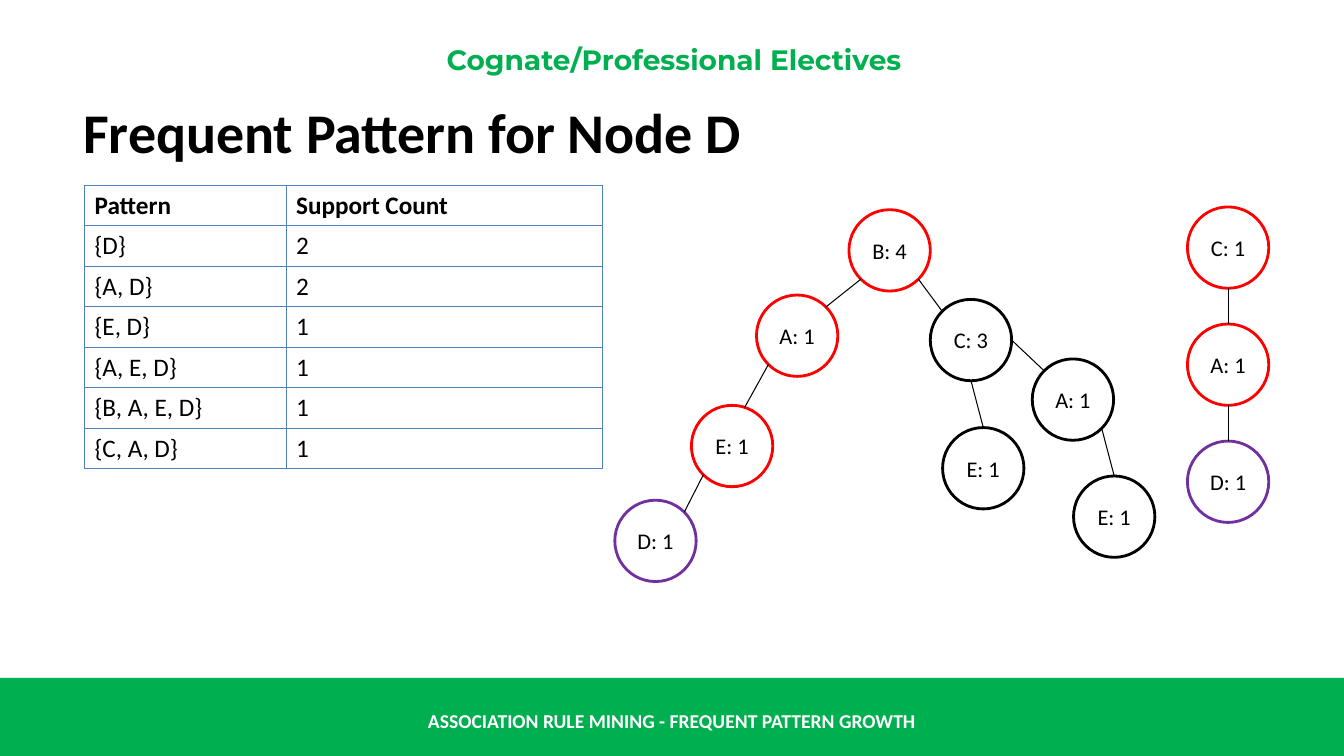
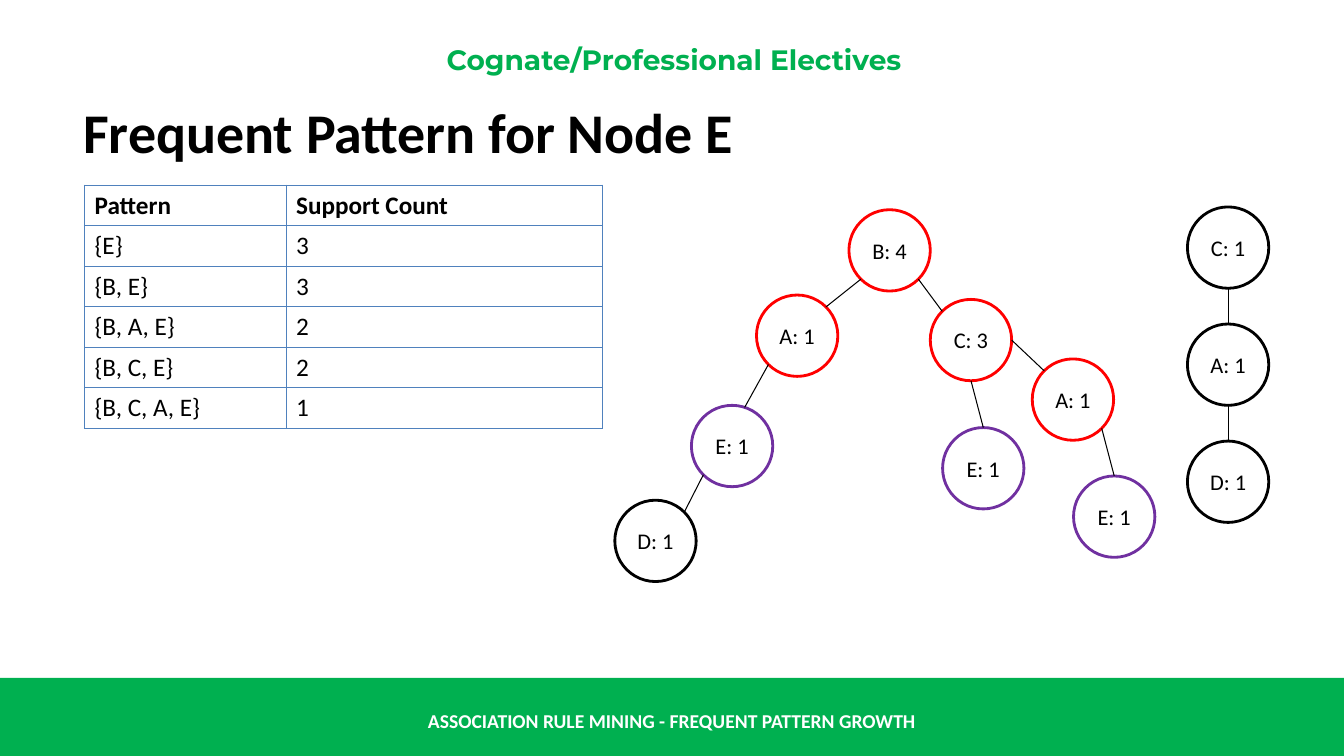
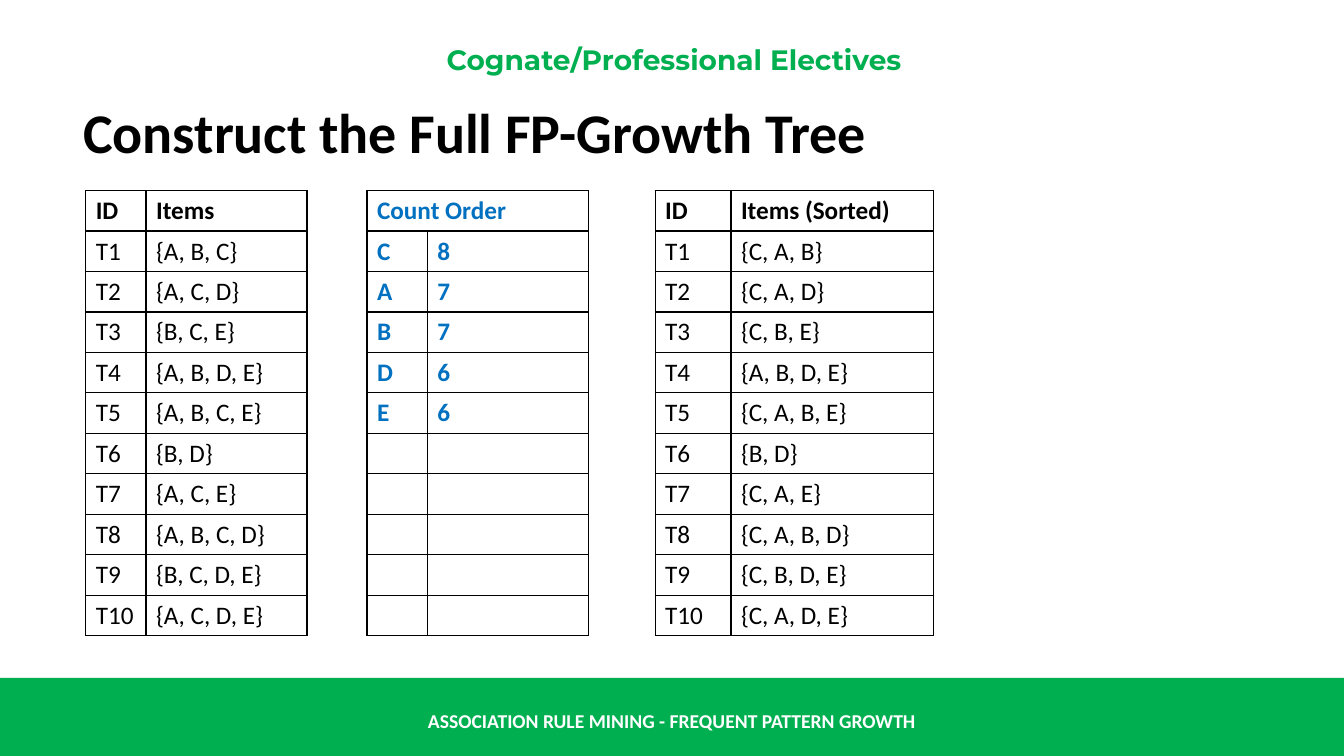
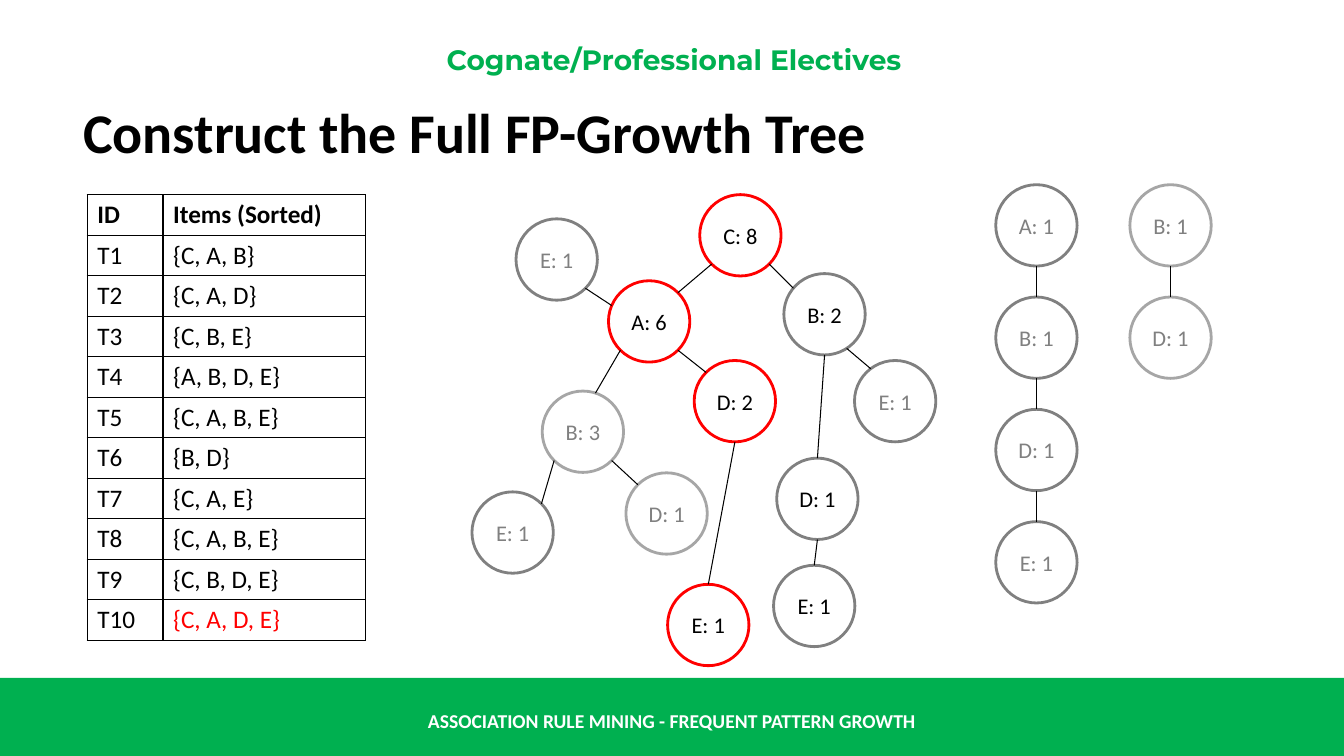
from math import cos, radians, sin

from lxml.etree import SubElement
from pptx import Presentation
from pptx.dml.color import RGBColor
from pptx.enum.shapes import MSO_CONNECTOR, MSO_SHAPE
from pptx.enum.text import MSO_ANCHOR, PP_ALIGN
from pptx.oxml.ns import qn
from pptx.util import Cm, Pt

BLACK, WHITE, GREEN, RED = "000000", "FFFFFF", "00B050", "FF0000"
PURPLE, BLUE, TABLE_BLUE = "7030A0", "0070C0", "4F81BD"
GREY, LIGHT_GREY = "808080", "A6A6A6"

TOP, RIGHT, BOTTOM = 0, 90, 180
TOP_RIGHT, BOTTOM_RIGHT, BOTTOM_LEFT, TOP_LEFT = 45, 135, 225, 315


def rgb(value):
    return RGBColor.from_string(value)


def write_text(frame, text, size=18, color=BLACK, bold=False, font="Calibri",
               align=PP_ALIGN.LEFT):
    paragraph = frame.paragraphs[0]
    paragraph.alignment = align
    run = paragraph.add_run()
    run.text = text
    run.font.name = font
    run.font.size = Pt(size)
    run.font.bold = bold
    run.font.color.rgb = rgb(color)


def itemset(items):
    return "{" + ", ".join(items) + "}"


def transaction_rows(heading, transactions):
    rows = [(f"T{number}", itemset(items))
            for number, items in enumerate(transactions, 1)]
    return [("ID", heading)] + rows


class Deck:
    width, height = 33.87, 19.05
    band_top = 17.08
    row_height = 1.02
    node_size = 2.05

    def __init__(self):
        self.presentation = Presentation()
        self.presentation.slide_width = Cm(self.width)
        self.presentation.slide_height = Cm(self.height)
        self.slide = None

    def add_slide(self, title):
        self.slide = self.presentation.slides.add_slide(
            self.presentation.slide_layouts[6])
        self.band()
        self.text_box(0, 17.65, self.width, 1.02,
                      "ASSOCIATION RULE MINING - FREQUENT PATTERN GROWTH",
                      size=14, color=WHITE, bold=True, align=PP_ALIGN.CENTER)
        self.text_box(0.71, 1.07, 32.56, 0.86, "Cognate/Professional Electives",
                      size=20, color=GREEN, bold=True, font="Montserrat",
                      align=PP_ALIGN.CENTER)
        self.text_box(1.85, 2.34, 29.34, 1.96, title, anchor=MSO_ANCHOR.TOP,
                      size=40, bold=True)

    def band(self):
        shape = self.slide.shapes.add_shape(
            MSO_SHAPE.RECTANGLE, 0, Cm(self.band_top), Cm(self.width),
            Cm(self.height - self.band_top))
        shape.shadow.inherit = False
        shape.fill.solid()
        shape.fill.fore_color.rgb = rgb(GREEN)
        shape.line.fill.background()

    def text_box(self, left, top, width, height, text,
                 anchor=MSO_ANCHOR.MIDDLE, **text_format):
        box = self.slide.shapes.add_textbox(
            Cm(left), Cm(top), Cm(width), Cm(height))
        box.text_frame.word_wrap = True
        box.text_frame.vertical_anchor = anchor
        write_text(box.text_frame, text, **text_format)

    def node(self, x, y, text, outline, color=BLACK):
        radius = self.node_size / 2
        shape = self.slide.shapes.add_shape(
            MSO_SHAPE.OVAL, Cm(x - radius), Cm(y - radius),
            Cm(self.node_size), Cm(self.node_size))
        shape.shadow.inherit = False
        shape.fill.background()
        shape.line.color.rgb = rgb(outline)
        shape.line.width = Pt(2)
        shape.text_frame.word_wrap = False
        shape.text_frame.vertical_anchor = MSO_ANCHOR.MIDDLE
        write_text(shape.text_frame, text, size=16, color=color,
                   align=PP_ALIGN.CENTER)

    def rim(self, center, bearing):
        x, y = center
        angle = radians(bearing)
        radius = self.node_size / 2
        return Cm(x + radius * sin(angle)), Cm(y - radius * cos(angle))

    def edge(self, parent, parent_bearing, child, child_bearing):
        line = self.slide.shapes.add_connector(
            MSO_CONNECTOR.STRAIGHT, *self.rim(parent, parent_bearing),
            *self.rim(child, child_bearing))
        line.line.color.rgb = rgb(BLACK)
        line.line.width = Pt(0.75)
        SubElement(line.element.spPr, qn("a:effectLst"))

    def chain(self, x, top, step, labels, outlines, color=BLACK):
        centers = [(x, top + step * index) for index in range(len(labels))]
        for center, label, outline in zip(centers, labels, outlines):
            self.node(*center, label, outline, color)
        for upper, lower in zip(centers, centers[1:]):
            self.edge(upper, BOTTOM, lower, TOP)

    def tree(self, nodes, edges):
        for x, y, text, outline, color in nodes.values():
            self.node(x, y, text, outline, color)
        for parent, parent_bearing, child, child_bearing in edges:
            self.edge(nodes[parent][:2], parent_bearing,
                      nodes[child][:2], child_bearing)

    def cell_border(self, cell, color):
        properties = cell._tc.get_or_add_tcPr()
        for side in ("a:lnL", "a:lnR", "a:lnT", "a:lnB"):
            line = SubElement(properties, qn(side), w=str(Pt(1)))
            fill = SubElement(line, qn("a:solidFill"))
            SubElement(fill, qn("a:srgbClr"), val=color)

    def table(self, left, top, widths, rows, border=BLACK, color=BLACK,
              bold=False, accents=None):
        table = self.slide.shapes.add_table(
            len(rows), len(widths), Cm(left), Cm(top), Cm(sum(widths)),
            Cm(self.row_height * len(rows))).table
        table.first_row = False
        table.horz_banding = False
        for column, width in zip(table.columns, widths):
            column.width = Cm(width)
        for row_index, values in enumerate(rows):
            table.rows[row_index].height = Cm(self.row_height)
            for column_index, value in enumerate(values):
                cell = table.cell(row_index, column_index)
                self.cell_border(cell, border)
                cell.fill.background()
                cell.vertical_anchor = MSO_ANCHOR.MIDDLE
                if value:
                    cell_color = (accents or {}).get((row_index, column_index), color)
                    write_text(cell.text_frame, value, color=cell_color,
                               bold=bold or row_index == 0)
        return table


PATTERN_NODES = {
    "B": (22.42, 6.31, "B: 4"),
    "BA": (20.09, 8.46, "A: 1"),
    "BAE": (18.45, 11.24, "E: 1"),
    "BAED": (16.52, 13.63, "D: 1"),
    "BC": (24.47, 8.57, "C: 3"),
    "BCE": (24.78, 11.8, "E: 1"),
    "BCA": (27.04, 10.07, "A: 1"),
    "BCAE": (28.08, 13.02, "E: 1"),
}
PATTERN_EDGES = [
    ("B", BOTTOM_LEFT, "BA", TOP_RIGHT),
    ("BA", BOTTOM_LEFT, "BAE", 18),
    ("BAE", BOTTOM_LEFT, "BAED", TOP_RIGHT),
    ("B", BOTTOM_RIGHT, "BC", TOP_LEFT),
    ("BC", BOTTOM, "BCE", TOP),
    ("BC", RIGHT, "BCA", TOP_LEFT),
    ("BCA", BOTTOM_RIGHT, "BCAE", TOP),
]
FULL_NODES = {
    "C": (18.66, 5.93, "C: 8", RED, BLACK),
    "CA": (16.36, 8.1, "A: 6", RED, BLACK),
    "CAE": (14.03, 6.54, "E: 1", GREY, GREY),
    "CAB": (14.69, 10.88, "B: 3", LIGHT_GREY, GREY),
    "CABE": (12.92, 13.42, "E: 1", GREY, GREY),
    "CABD": (16.8, 12.94, "D: 1", LIGHT_GREY, GREY),
    "CAD": (18.52, 10.11, "D: 2", RED, BLACK),
    "CADE": (17.85, 15.75, "E: 1", RED, BLACK),
    "CB": (20.78, 7.92, "B: 2", GREY, BLACK),
    "CBE": (22.56, 10.11, "E: 1", GREY, GREY),
    "CBD": (20.6, 12.57, "D: 1", GREY, BLACK),
    "CBDE": (20.52, 15.27, "E: 1", GREY, BLACK),
}
FULL_EDGES = [
    ("C", BOTTOM_LEFT, "CA", TOP_RIGHT),
    ("C", BOTTOM_RIGHT, "CB", 310),
    ("CA", 293, "CAE", BOTTOM_RIGHT),
    ("CA", BOTTOM_LEFT, "CAB", 18),
    ("CA", BOTTOM_RIGHT, "CAD", TOP_LEFT),
    ("CAB", BOTTOM_LEFT, "CABE", TOP_RIGHT),
    ("CAB", BOTTOM_RIGHT, "CABD", TOP_LEFT),
    ("CAD", BOTTOM, "CADE", TOP),
    ("CB", 147, "CBE", 323),
    ("CB", BOTTOM, "CBD", TOP),
    ("CBD", BOTTOM, "CBDE", TOP),
]
TRANSACTIONS = ["ABC", "ACD", "BCE", "ABDE", "ABCE", "BD", "ACE", "ABCD",
                "BCDE", "ACDE"]
COUNT_ORDER = {"C": "8", "A": "7", "B": "7", "D": "6", "E": "6"}
SORTED = [sorted(items, key=list(COUNT_ORDER).index) for items in TRANSACTIONS]
SORTED_WIDTHS = (1.91, 5.11)
FULL_TITLE = "Construct the Full FP-Growth Tree"


def pattern_slide(deck, target, supports, ancestors, ends, chain_outlines):
    deck.add_slide(f"Frequent Pattern for Node {target}")
    rows = [(itemset(items), count) for items, count in supports]
    deck.table(2.13, 4.67, (5.08, 7.98), [("Pattern", "Support Count")] + rows,
               border=TABLE_BLUE)
    outlines = {**dict.fromkeys(ancestors, RED), **dict.fromkeys(ends, PURPLE)}
    nodes = {name: (*node, outlines.get(name, BLACK), BLACK)
             for name, node in PATTERN_NODES.items()}
    deck.tree(nodes, PATTERN_EDGES)
    deck.chain(30.95, 6.24, 2.95, ("C: 1", "A: 1", "D: 1"), chain_outlines)


def transactions_slide(deck):
    deck.add_slide(FULL_TITLE)
    top, narrow_widths = 4.8, (1.52, 4.06)
    deck.table(2.16, top, narrow_widths, transaction_rows("Items", TRANSACTIONS))
    blanks = [("", "")] * (len(TRANSACTIONS) - len(COUNT_ORDER))
    counts = deck.table(
        9.25, top, narrow_widths,
        [("Count Order", ""), *COUNT_ORDER.items(), *blanks],
        color=BLUE, bold=True)
    counts.cell(0, 0).merge(counts.cell(0, 1))
    deck.table(16.51, top, SORTED_WIDTHS,
               transaction_rows("Items (Sorted)", SORTED))


def full_tree_slide(deck):
    deck.add_slide(FULL_TITLE)
    inserted = SORTED[:7] + ["CABE"] + SORTED[8:]
    deck.table(2.2, 4.91, SORTED_WIDTHS,
               transaction_rows("Items (Sorted)", inserted),
               accents={(len(inserted), 1): RED})
    deck.tree(FULL_NODES, FULL_EDGES)
    top, step = 5.68, 2.83
    deck.chain(26.12, top, step, ("A: 1", "B: 1", "D: 1", "E: 1"),
               [GREY] * 4, GREY)
    deck.chain(29.5, top, step, ("B: 1", "D: 1"), [LIGHT_GREY] * 2, GREY)


def main():
    deck = Deck()
    pattern_slide(
        deck, "D",
        [("D", "2"), ("AD", "2"), ("ED", "1"), ("AED", "1"), ("BAED", "1"),
         ("CAD", "1")],
        ("B", "BA", "BAE"), ("BAED",), (RED, RED, PURPLE))
    pattern_slide(
        deck, "E",
        [("E", "3"), ("BE", "3"), ("BAE", "2"), ("BCE", "2"), ("BCAE", "1")],
        ("B", "BA", "BC", "BCA"), ("BAE", "BCE", "BCAE"), [BLACK] * 3)
    transactions_slide(deck)
    full_tree_slide(deck)
    deck.presentation.save("out.pptx")


if __name__ == "__main__":
    main()
